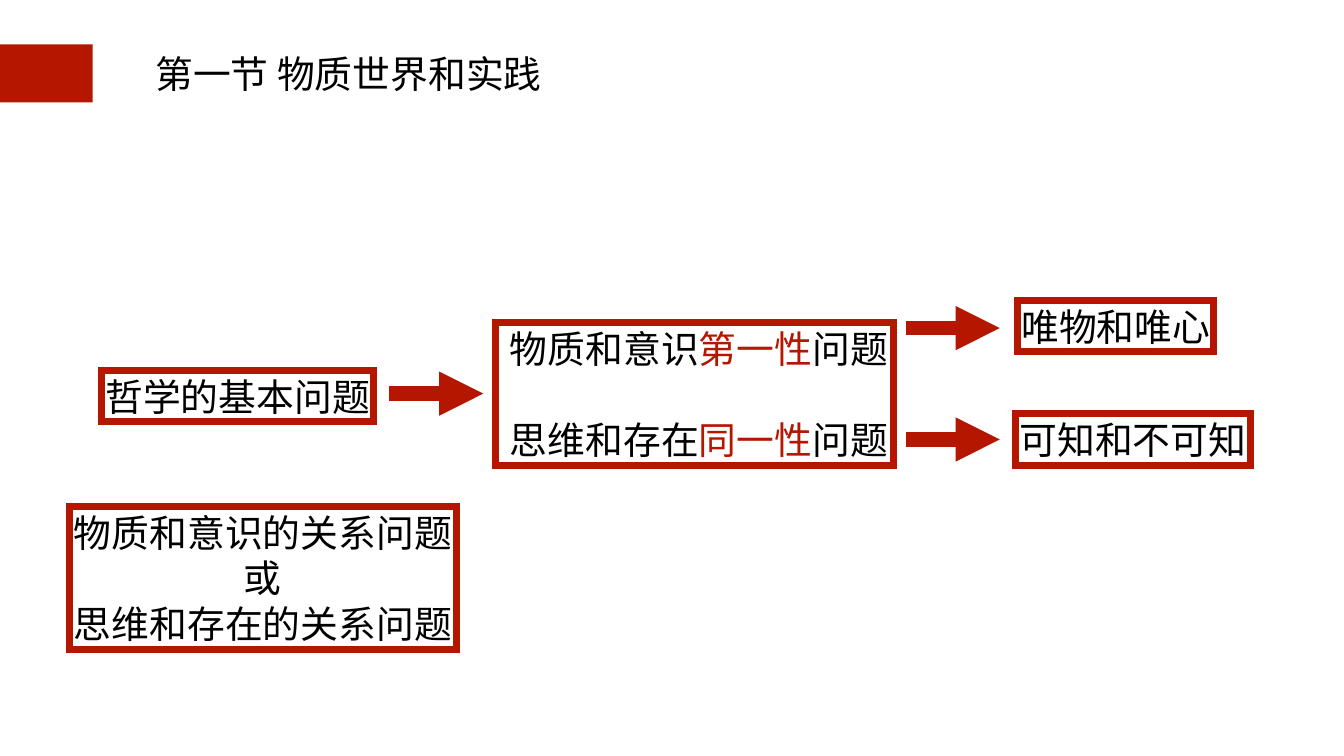
import pptx
import pptx.util
import pptx.dml.color
import pptx.enum.shapes
import pptx.enum.text
import pptx.oxml.ns
from lxml import etree
from pptx.util import Inches

COLORS = {"red": "B51600", "black": "000000"}
FONT = "Noto Sans CJK SC"


def rgb(name):
    return pptx.dml.color.RGBColor.from_string(COLORS[name])


def add_xml(parent, tag, **attrs):
    return etree.SubElement(parent, pptx.oxml.ns.qn(tag), attrs)


def write_text(tf, lines, size=54, color="black", gap=0):
    tf.word_wrap = False
    tf.vertical_anchor = pptx.enum.text.MSO_ANCHOR.MIDDLE
    tf.margin_left = tf.margin_right = tf.margin_top = tf.margin_bottom = Inches(0.06)
    for i, line in enumerate(lines):
        p = tf.paragraphs[0] if i == 0 else tf.add_paragraph()
        p.alignment = pptx.enum.text.PP_ALIGN.CENTER
        if i and gap:
            p.space_before = pptx.util.Pt(gap)
        for text, run_color in [(line, color)] if isinstance(line, str) else line:
            r = p.add_run()
            r.text = text
            r.font.size = pptx.util.Pt(size)
            r.font.color.rgb = rgb(run_color)
            r.font.name = FONT
            add_xml(r.font._element, "a:ea", typeface=FONT)


class Deck:
    def __init__(self, prs, accent="red", border=10, arrow_width=21):
        self.s = prs.slides.add_slide(prs.slide_layouts[6])
        self.accent, self.border, self.arrow_width = accent, border, arrow_width

    def rect(self, x, y, w, h):
        sp = self.s.shapes.add_shape(pptx.enum.shapes.MSO_SHAPE.RECTANGLE,
                                     Inches(x), Inches(y), Inches(w), Inches(h))
        sp.shadow.inherit = False
        return sp

    def bar(self, x, y, w, h):
        sp = self.rect(x, y, w, h)
        sp.fill.solid()
        sp.fill.fore_color.rgb = rgb(self.accent)
        sp.line.fill.background()

    def box(self, x, y, w, h, lines, **fmt):
        sp = self.rect(x, y, w, h)
        sp.fill.background()
        sp.line.color.rgb = rgb(self.accent)
        sp.line.width = pptx.util.Pt(self.border)
        add_xml(sp.line._get_or_add_ln(), "a:miter", lim="400000")
        write_text(sp.text_frame, lines, **fmt)

    def title(self, x, y, w, h, text):
        sp = self.s.shapes.add_textbox(Inches(x), Inches(y), Inches(w), Inches(h))
        write_text(sp.text_frame, [text])

    def arrow(self, x, y, length=1.87):
        sp = self.s.shapes.add_connector(pptx.enum.shapes.MSO_CONNECTOR.STRAIGHT,
                                         Inches(x), Inches(y), Inches(x + length), Inches(y))
        sp.line.color.rgb = rgb(self.accent)
        sp.line.width = pptx.util.Pt(self.arrow_width)
        add_xml(sp.line._get_or_add_ln(), "a:tailEnd", type="triangle")
        add_xml(sp._element.spPr, "a:effectLst")


def main():
    prs = pptx.Presentation()
    prs.slide_width, prs.slide_height = Inches(26.67), Inches(15)
    deck = Deck(prs)
    one_line, three_lines = 1.02, 2.84

    deck.bar(-0.03, 0.88, 1.87, 1.15)
    deck.title(2.96, 0.94, 7.91, one_line, "第一节 物质世界和实践")

    deck.box(2.01, 7.35, 5.41, one_line, ["哲学的基本问题"])
    deck.box(1.37, 10.04, 7.69, three_lines,
             ["物质和意识的关系问题", "或", "思维和存在的关系问题"])

    questions = [(" 物质和意识", "第一性"), (" 思维和存在", "同一性")]
    deck.box(9.83, 6.39, 7.91, three_lines,
             [[(subject, "black"), (key, "red"), ("问题", "black")] for subject, key in questions],
             gap=65)

    for x, y in [(7.72, 7.81), (17.97, 6.51), (17.97, 8.72)]:
        deck.arrow(x, y)

    deck.box(20.19, 5.96, 3.9, one_line, ["唯物和唯心"])
    deck.box(20.15, 8.21, 4.66, one_line, ["可知和不可知"])

    prs.save("out.pptx")


if __name__ == "__main__":
    main()
